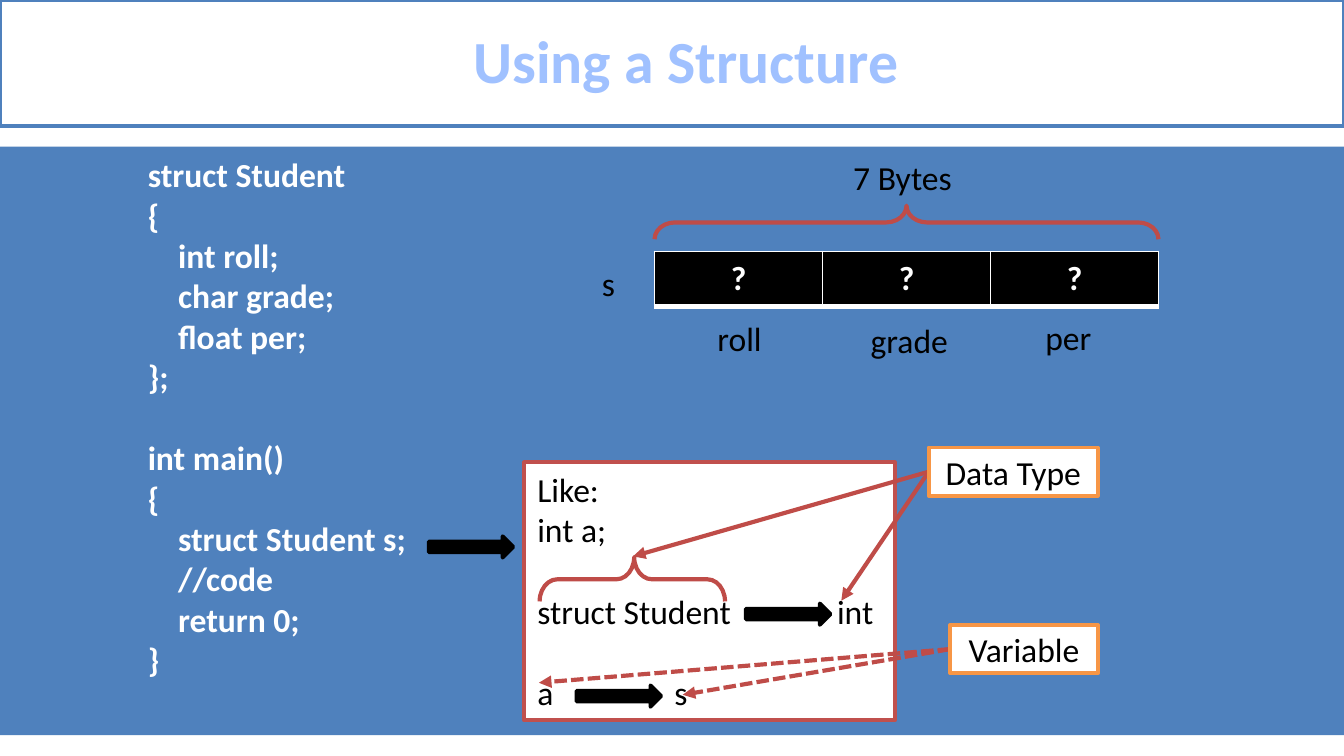
"""Build the slide on using a C structure."""
from dataclasses import dataclass
from typing import Optional

from lxml.etree import SubElement as Sub
from pptx import Presentation
from pptx.dml.color import RGBColor as Rgb
from pptx.enum.dml import MSO_LINE as Dash
from pptx.enum.shapes import MSO_CONNECTOR as Link, MSO_SHAPE as Kind
from pptx.enum.text import MSO_ANCHOR as Anchor, PP_ALIGN as Align
from pptx.oxml.ns import qn
from pptx.util import Inches, Pt


@dataclass(frozen=True)
class Theme:
    font: str = "Calibri"
    body: int = 18
    head: int = 32
    gap: int = 22
    thin: float = 2
    thick: float = 2.25
    white: str = "FFFFFF"
    black: str = "000000"
    blue: str = "4F81BD"
    pale: str = "A0C1FF"
    red: str = "C0504D"
    brick: str = "BF4C48"
    gold: str = "F79646"


@dataclass(frozen=True)
class Box:
    left: float
    top: float
    width: float
    height: float


@dataclass(frozen=True)
class Line:
    text: str
    gap: bool = False
    tab: Optional[float] = None


@dataclass(frozen=True)
class Arrow:
    start: tuple[float, float]
    end: tuple[float, float]
    dashed: bool = False


@dataclass(frozen=True)
class Brace:
    box: Box
    curve: float
    point: float


T = Theme()
CODE = [
    Line("struct Student"), Line("{"), Line("    int roll;"),
    Line("    char grade;"), Line("    float per;"), Line("};"),
    Line("int main()", gap=True), Line("{"), Line("    struct Student s;"),
    Line("    //code"), Line("    return 0;"), Line("}"),
]
NOTE = [
    Line("Like:"), Line("int a;"),
    Line("struct Student\tint", gap=True, tab=2.23),
    Line("a\ts", gap=True, tab=1.02),
]
BLOCKS = [(3.19, 3.99), (5.55, 4.49), (4.29, 5.1)]
BRACES = [
    Brace(Box(4.54, 3.62, 0.33, 1.38), 0.4, 0.51),
    Brace(Box(6.62, -0.22, 0.25, 3.75), 0.61, 0.5),
]
ARROWS = [
    Arrow((6.91, 3.51), (4.71, 4.14)),
    Arrow((6.91, 3.51), (6.26, 4.47)),
    Arrow((7.07, 4.83), (4.01, 5.08), True),
    Arrow((7.07, 4.83), (5.08, 5.17), True),
]
TAGS = [
    ("Data Type", Box(6.91, 3.33, 1.26, 0.36)),
    ("Variable", Box(7.07, 4.65, 1.1, 0.36)),
]
LABELS = [
    ("s", Box(4.38, 1.91, 0.29, 0.4)),
    ("roll", Box(5.24, 2.32, 0.6, 0.4)),
    ("grade", Box(6.38, 2.33, 0.83, 0.4)),
    ("per", Box(7.68, 2.31, 0.6, 0.4)),
    ("7 Bytes", Box(6.25, 1.12, 1, 0.4)),
]


def place(box: Box) -> tuple:
    """Give the box as four lengths."""
    return tuple(Inches(n) for n in (box.left, box.top, box.width, box.height))


def style(para, color: str = T.black, size: int = T.body, bold: bool = False) -> None:
    """Format every run of a paragraph."""
    for run in para.runs:
        run.font.name, run.font.size, run.font.bold = T.font, Pt(size), bold
        run.font.color.rgb = Rgb.from_string(color)


def write(shape, lines: list[Line], color: str = T.black, bold: bool = False) -> None:
    """Set left-aligned lines from the top of a shape."""
    frame = shape.text_frame
    frame.word_wrap, frame.vertical_anchor = True, Anchor.TOP
    frame.text = "\n".join(line.text for line in lines)
    for para, line in zip(frame.paragraphs, lines):
        if line.tab:
            tabs = Sub(para._p.get_or_add_pPr(), qn("a:tabLst"))
            Sub(tabs, qn("a:tab"), pos=str(Inches(line.tab)), algn="l")
        if line.gap:
            para.space_before = Pt(T.gap)
        para.alignment = Align.LEFT
        style(para, color, bold=bold)


def center(shape, text: str, color: str = T.black, size: int = T.body, bold: bool = False) -> None:
    """Set one line in the middle of a shape."""
    frame = shape.text_frame
    frame.text, frame.vertical_anchor = text, Anchor.MIDDLE
    frame.paragraphs[0].alignment = Align.CENTER
    style(frame.paragraphs[0], color, size, bold)


def draw(slide, kind: Kind, box: Box, fill: Optional[str], line: Optional[str] = None,
         width: float = T.thin):
    """Add a flat preset shape."""
    shape = slide.shapes.add_shape(kind, *place(box))
    shape.shadow.inherit = False
    for part, color in ((shape.fill, fill), (shape.line.fill, line)):
        if color:
            part.solid()
            part.fore_color.rgb = Rgb.from_string(color)
        else:
            part.background()
    if line:
        shape.line.width = Pt(width)
    return shape


def brace(slide, item: Brace) -> None:
    """Add a brace that points up."""
    shape = draw(slide, Kind.RIGHT_BRACE, item.box, None, T.brick, T.thick)
    shape.rotation = 270
    shape.adjustments[0], shape.adjustments[1] = item.curve, item.point


def arrow(slide, item: Arrow) -> None:
    """Add a straight arrow."""
    ends = [Inches(n) for n in item.start + item.end]
    link = slide.shapes.add_connector(Link.STRAIGHT, *ends)
    link.line.color.rgb, link.line.width = Rgb.from_string(T.brick), Pt(T.thick)
    if item.dashed:
        link.line.dash_style = Dash.SQUARE_DOT
    Sub(link.line._get_or_add_ln(), qn("a:tailEnd"), type="triangle")
    Sub(link._element.spPr, qn("a:effectLst"))


def table(slide, box: Box, texts: list[str]) -> None:
    """Add the row of memory cells."""
    grid = slide.shapes.add_table(1, len(texts), *place(box)).table
    grid.first_row = grid.horz_banding = False
    for cell, text in zip(grid.iter_cells(), texts):
        center(cell, text, T.white, bold=True)
        cell.vertical_anchor = Anchor.TOP
        for side, width in (("L", 1), ("R", 1), ("T", 1), ("B", 3)):
            edge = Sub(cell._tc.get_or_add_tcPr(), qn(f"a:ln{side}"), w=str(Pt(width)))
            Sub(Sub(edge, qn("a:solidFill")), qn("a:srgbClr"), val=T.white)
        cell.fill.solid()
        cell.fill.fore_color.rgb = Rgb.from_string(T.black)


def main() -> None:
    """Build and save the slide."""
    deck = Presentation()
    deck.slide_width, deck.slide_height = Inches(10), Inches(10 * 9 / 16)
    slide = deck.slides.add_slide(deck.slide_layouts[6])
    draw(slide, Kind.RECTANGLE, Box(0, 1.09, 10, 4.38), T.blue)
    title = draw(slide, Kind.RECTANGLE, Box(0, 0, 10, 0.94), T.white, T.blue)
    center(title, "Using a Structure", T.pale, T.head, True)
    title.text_frame.margin_left = Inches(0.31)
    title.text_frame.paragraphs[0].line_spacing = 0.96
    code = slide.shapes.add_textbox(*place(Box(0, 1.1, 10, 4.34)))
    write(code, CODE, T.white, True)
    code.text_frame.margin_left = Inches(1.1)
    write(draw(slide, Kind.RECTANGLE, Box(3.9, 3.44, 2.76, 1.92), T.white, T.red), NOTE)
    for left, top in BLOCKS:
        draw(slide, Kind.RIGHT_ARROW, Box(left, top, 0.63, 0.16), T.black, T.black)
    for item in BRACES:
        brace(slide, item)
    for item in ARROWS:
        arrow(slide, item)
    for text, box in TAGS:
        center(draw(slide, Kind.RECTANGLE, box, T.white, T.gold), text)
    table(slide, Box(4.87, 1.87, 3.75, 0.41), ["?"] * 3)
    for text, box in LABELS:
        write(slide.shapes.add_textbox(*place(box)), [Line(text)])
    deck.save("out.pptx")


if __name__ == "__main__":
    main()
